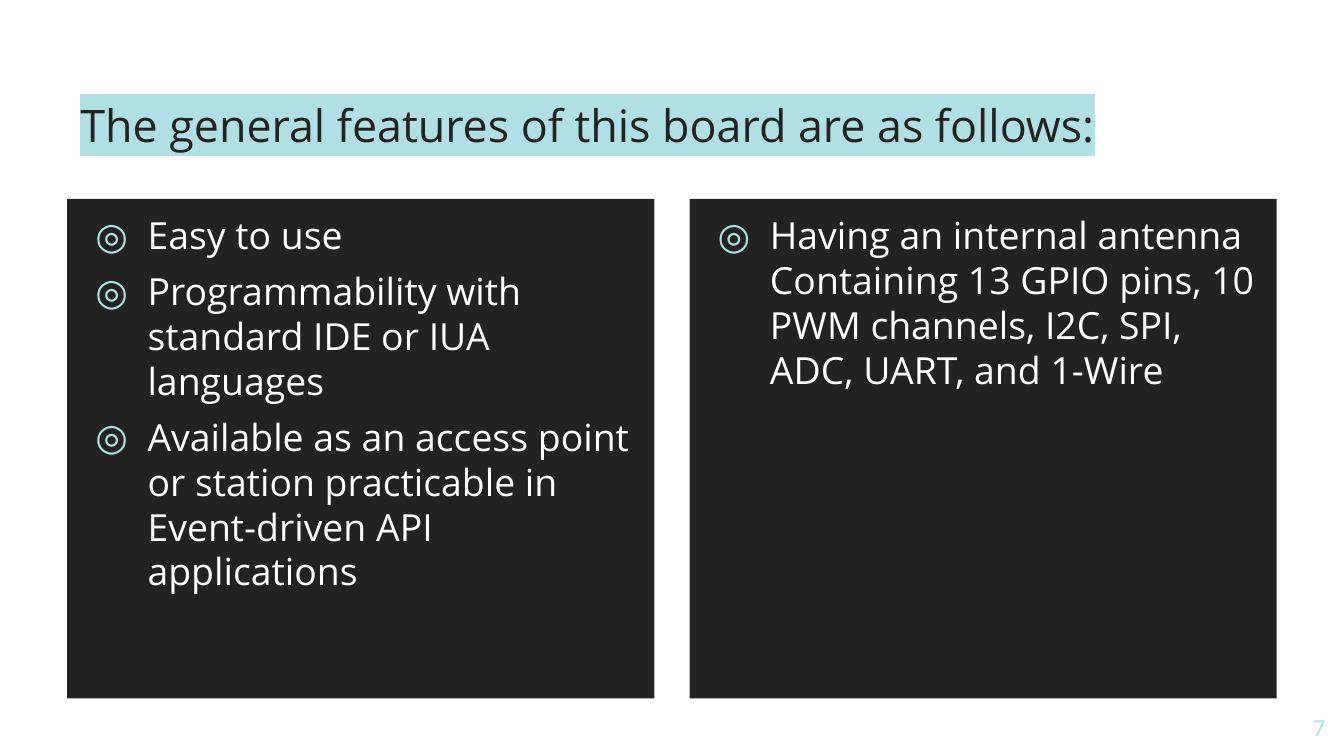
from lxml.etree import SubElement
from pptx import Presentation
from pptx.dml.color import RGBColor
from pptx.enum.shapes import MSO_SHAPE
from pptx.enum.text import MSO_ANCHOR, PP_ALIGN
from pptx.oxml.ns import qn
from pptx.util import Pt

COLORS = {"dark": "222222", "accent": "B0E0E6", "light": "FFFFFF"}
TITLE = "The general features of this board are as follows:"
COLUMNS = [
    [
        "Easy to use",
        "Programmability with standard IDE or IUA languages",
        "Available as an access point or station practicable in Event-driven API applications",
    ],
    [
        "Having an internal antenna\vContaining 13 GPIO pins, 10 PWM channels, I2C, SPI, ADC, UART, and 1-Wire",
    ],
]
PAGE_NUMBER = "7"

SLIDE_WIDTH, SLIDE_HEIGHT = 720, 405
MARGIN = 36
PANEL_TOP, PANEL_WIDTH, PANEL_HEIGHT = 106.6, 314.6, 267.6
PANEL_GAP = SLIDE_WIDTH - 2 * MARGIN - 2 * PANEL_WIDTH
INSET = 7.2
BULLET_INDENT, BULLET_HANGING = 36, 28

FORMATS = {
    "title": {"name": "Open Sans", "size": Pt(24)},
    "body": {"name": "Open Sans", "size": Pt(20)},
    "number": {"name": "Calibri", "size": Pt(13)},
}


def style_font(font, style, color):
    for name, value in FORMATS[style].items():
        setattr(font, name, value)
    font.color.rgb = RGBColor.from_string(COLORS[color])


def prepare_frame(shape):
    frame = shape.text_frame
    settings = {"word_wrap": True, "vertical_anchor": MSO_ANCHOR.TOP}
    for side in ("left", "top", "right", "bottom"):
        settings[f"margin_{side}"] = Pt(INSET)
    for name, value in settings.items():
        setattr(frame, name, value)
    return frame


def add_color(parent, tag, color):
    element = SubElement(parent, qn(tag))
    SubElement(element, qn("a:srgbClr"), val=COLORS[color])
    return element


def add_bullet(paragraph):
    properties = paragraph._p.get_or_add_pPr()
    properties.set("marL", str(Pt(BULLET_INDENT)))
    properties.set("indent", str(-Pt(BULLET_HANGING)))
    add_color(properties, "a:buClr", "accent")
    SubElement(properties, qn("a:buFont"), typeface="Open Sans")
    SubElement(properties, qn("a:buChar"), char="◎")


def add_text(slide, box, text, style, color):
    shape = slide.shapes.add_textbox(*map(Pt, box))
    paragraph = prepare_frame(shape).paragraphs[0]
    run = paragraph.add_run()
    run.text = text
    style_font(run.font, style, color)
    return paragraph, run


def add_panel(slide, left, items):
    shape = slide.shapes.add_shape(
        MSO_SHAPE.RECTANGLE, Pt(left), Pt(PANEL_TOP), Pt(PANEL_WIDTH), Pt(PANEL_HEIGHT)
    )
    shape.shadow.inherit = False
    shape.fill.solid()
    shape.fill.fore_color.rgb = RGBColor.from_string(COLORS["dark"])
    shape.line.fill.background()
    frame = prepare_frame(shape)
    for index, item in enumerate(items):
        paragraph = frame.add_paragraph() if index else frame.paragraphs[0]
        paragraph.text = item
        add_bullet(paragraph)
        paragraph.alignment = PP_ALIGN.LEFT
        paragraph.space_before = Pt(6 if index else 0)
        style_font(paragraph.font, "body", "light")
        for run in paragraph.runs:
            style_font(run.font, "body", "light")


def main():
    presentation = Presentation()
    presentation.slide_width = Pt(SLIDE_WIDTH)
    presentation.slide_height = Pt(SLIDE_HEIGHT)
    slide = presentation.slides.add_slide(presentation.slide_layouts[6])

    title_box = (MARGIN, 40.8, SLIDE_WIDTH - 2 * MARGIN, 43.2)
    paragraph, run = add_text(slide, title_box, TITLE, "title", "dark")
    paragraph.line_spacing = 1.15
    highlight = add_color(run._r.get_or_add_rPr(), "a:highlight", "accent")
    run.font.fill._xPr.find(qn("a:solidFill")).addnext(highlight)

    for index, items in enumerate(COLUMNS):
        add_panel(slide, MARGIN + index * (PANEL_WIDTH + PANEL_GAP), items)

    number_box = (673.9, 374.4, 43.2, 24.5)
    paragraph, run = add_text(slide, number_box, PAGE_NUMBER, "number", "accent")
    paragraph.alignment = PP_ALIGN.RIGHT

    presentation.save("out.pptx")


if __name__ == "__main__":
    main()
